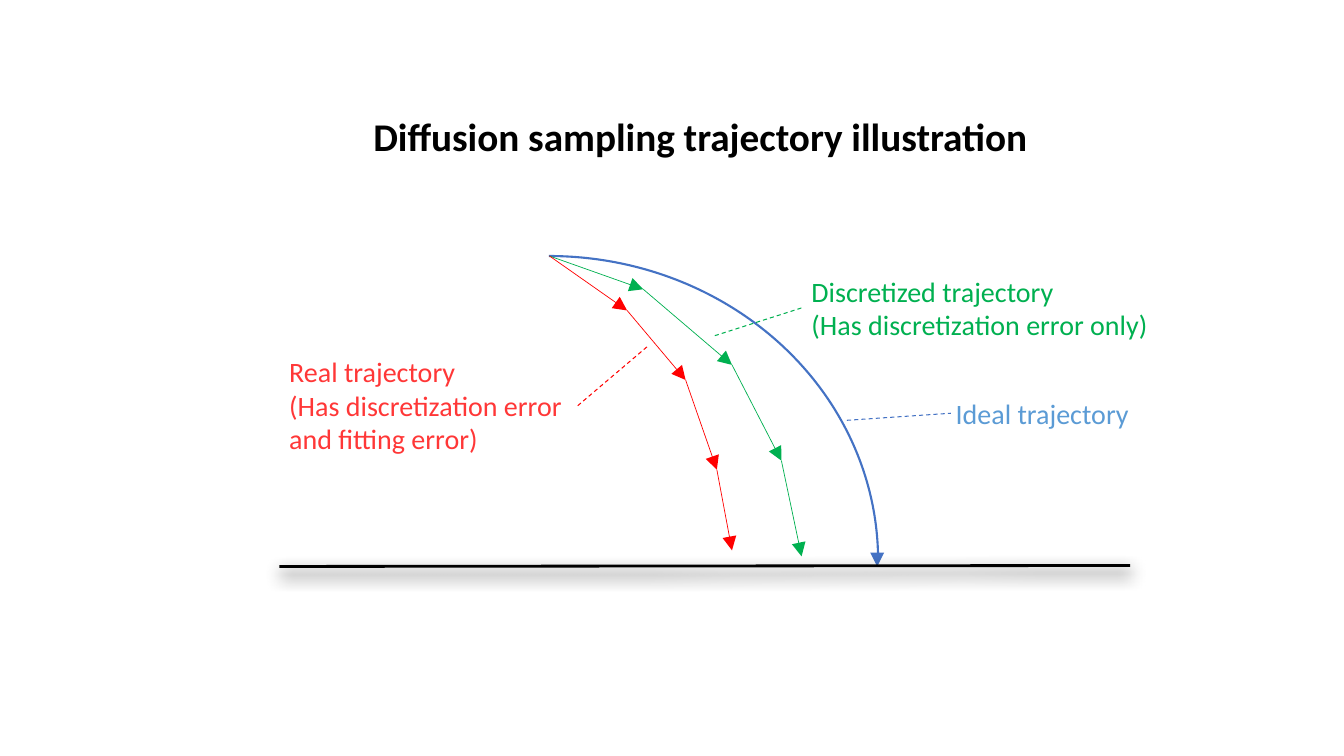
"""Build the slide that illustrates diffusion sampling trajectories."""
from itertools import pairwise

from lxml.etree import SubElement
from pptx import Presentation
from pptx.dml.color import RGBColor
from pptx.enum.dml import MSO_LINE
from pptx.enum.shapes import MSO_CONNECTOR, MSO_SHAPE
from pptx.enum.text import MSO_ANCHOR, MSO_AUTO_SIZE, PP_ALIGN
from pptx.oxml.ns import qn
from pptx.util import Inches, Pt

COLORS = {
    "black": "000000", "green": "00B050", "red": "FF0000",
    "light red": "FF3737", "blue": "4472C4", "light blue": "5B9BD5",
}
FONT = "Calibri"
TITLE = "Diffusion sampling trajectory illustration"
TITLE_BOX = (2.08, 0.65, 9.73, 1.45)
IDEAL_ARC = (2.18, 2.54, 6.53, 6.04)
ARC_ANGLES = (162, 0.196)
START = (5.45, 2.54)
TRAJECTORIES = [
    ("green", [START, (6.38, 2.87), (7.26, 3.62), (7.75, 4.57), (7.95, 5.52)]),
    ("red", [START, (6.22, 3.08), (6.8, 3.77), (7.11, 4.66), (7.26, 5.46)]),
    ("blue", [(8.7, 5.45), (8.7, 5.62)]),
]
GROUND = ((2.77, 5.62), (11.21, 5.61))
LABELS = {
    "discretized": ("green", (7.95, 2.67, 3.64, 0.77),
                    [["Discretized trajectory", "(Has discretization error only)"]]),
    "real": ("light red", (2.77, 3.47, 2.96, 1.11),
             [["Real trajectory"], ["(Has discretization error and fitting error)"]]),
    "ideal": ("light blue", (9.38, 3.88, 2.08, 0.44), [["Ideal trajectory"]]),
}
LEADERS = {
    "discretized": ("green", (7.09, 3.33), (7.95, 3.06)),
    "real": ("red", (5.73, 4.03), (6.43, 3.43)),
    "ideal": ("blue", (8.4, 4.17), (9.43, 4.1)),
}


def rgb(name):
    return RGBColor.from_string(COLORS[name])


def inches(values):
    return [Inches(value) for value in values]


def style_font(font, size, color, bold=False):
    font.name, font.size, font.bold = FONT, Pt(size), bold
    font.color.rgb = rgb(color)


def add_line(slide, start, end, color, width):
    line = slide.shapes.add_connector(
        MSO_CONNECTOR.STRAIGHT, *inches(start + end))
    line.line.color.rgb = rgb(color)
    line.line.width = Pt(width)
    SubElement(line._element.spPr, qn("a:effectLst"))
    return line


def add_arrow(slide, start, end, color):
    arrow = add_line(slide, start, end, color, 0.5)
    SubElement(arrow.line._get_or_add_ln(), qn("a:tailEnd"),
               type="triangle", w="lg", len="lg")


def add_ground(slide):
    ground = add_line(slide, *GROUND, "black", 2)
    effects = ground._element.spPr.find(qn("a:effectLst"))
    shadow = SubElement(effects, qn("a:outerShdw"), blurRad=str(Pt(12)),
                        dist=str(Pt(5)), dir="5400000", algn="ctr", rotWithShape="0")
    SubElement(shadow, qn("a:srgbClr"), val=COLORS["black"])


def add_label(slide, color, box, paragraphs):
    label = slide.shapes.add_textbox(*inches(box))
    frame = label.text_frame
    frame.word_wrap = True
    frame.auto_size = MSO_AUTO_SIZE.SHAPE_TO_FIT_TEXT
    for index, lines in enumerate(paragraphs):
        paragraph = frame.add_paragraph() if index else frame.paragraphs[0]
        for row, text in enumerate(lines):
            if row:
                paragraph.add_line_break()
            run = paragraph.add_run()
            run.text = text
            style_font(run.font, 20, color)
    return label


def add_title(slide):
    title = slide.shapes.title
    title.left, title.top, title.width, title.height = inches(TITLE_BOX)
    title.text_frame.vertical_anchor = MSO_ANCHOR.MIDDLE
    heading = title.text_frame.paragraphs[0]
    heading.alignment = PP_ALIGN.CENTER
    heading.line_spacing = 0.9
    run = heading.add_run()
    run.text = TITLE
    style_font(run.font, 28, "black", bold=True)


def add_ideal_arc(slide):
    arc = slide.shapes.add_shape(MSO_SHAPE.ARC, *inches(IDEAL_ARC))
    for index, angle in enumerate(ARC_ANGLES):
        arc.adjustments[index] = angle
    arc.shadow.inherit = False
    arc.fill.background()
    arc.line.color.rgb = rgb("blue")
    arc.line.width = Pt(1.5)


def main():
    deck = Presentation()
    deck.slide_width, deck.slide_height = Inches(13.33), Inches(7.5)
    slide = deck.slides.add_slide(deck.slide_layouts[5])
    add_title(slide)
    add_ideal_arc(slide)
    for color, points in TRAJECTORIES:
        for start, end in pairwise(points):
            add_arrow(slide, start, end, color)
    add_ground(slide)
    labels = {key: add_label(slide, *label) for key, label in LABELS.items()}
    leaders = {}
    for key, (color, start, end) in LEADERS.items():
        leaders[key] = add_line(slide, start, end, color, 0.75)
        leaders[key].line.dash_style = MSO_LINE.DASH
    leaders["discretized"].end_connect(labels["discretized"], 1)
    leaders["real"].begin_connect(labels["real"], 3)
    deck.save("out.pptx")


if __name__ == "__main__":
    main()
